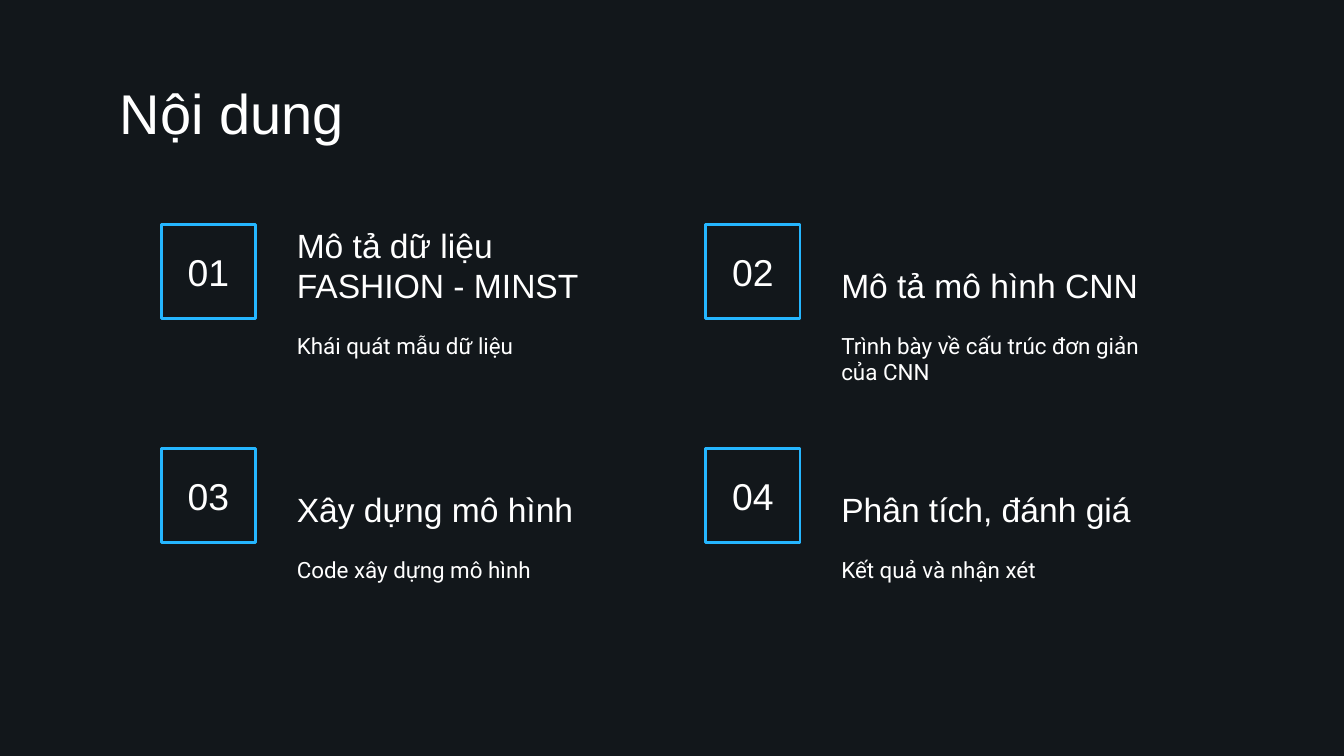
from dataclasses import dataclass

from pptx import Presentation, util as u
from pptx.dml.color import RGBColor
from pptx.enum import shapes, text

COLORS = {"background": "12171B", "frame": "25B6FF", "text": "FFFFFF"}
INSET = u.Cm(0.25)
FIRST_LEFT, FIRST_TOP = 3.05, 4.24
COLUMN_STEP, ROW_STEP = 10.29, 4.24
COLUMNS = 2
NUMBER_SIDE = 1.78
TEXT_OFFSET, TEXT_WIDTH = 2.31, 6.71
HEADING_HEIGHT, SUMMARY_HEIGHT = 2.16, 1.6


@dataclass
class Topic:
    heading: str
    summary: str


TOPICS = [
    Topic("Mô tả dữ liệu FASHION - MINST", "Khái quát mẫu dữ liệu"),
    Topic("Mô tả mô hình CNN", "Trình bày về cấu trúc đơn giản của CNN"),
    Topic("Xây dựng mô hình", "Code xây dựng mô hình"),
    Topic("Phân tích, đánh giá", "Kết quả và nhận xét"),
]


def color(role: str) -> RGBColor:
    return RGBColor.from_string(COLORS[role])


def write(holder, content: str, *, size: float, font: str = "Arial",
          anchor=text.MSO_ANCHOR.TOP, align=text.PP_ALIGN.LEFT) -> None:
    frame = holder.text_frame
    frame.word_wrap = True
    frame.auto_size = text.MSO_AUTO_SIZE.NONE
    frame.vertical_anchor = anchor
    frame.margin_left = frame.margin_right = INSET
    frame.margin_top = frame.margin_bottom = INSET
    paragraph = frame.paragraphs[0]
    paragraph.alignment = align
    run = paragraph.add_run()
    run.text = content
    run.font.size = u.Pt(size)
    run.font.name = font
    run.font.color.rgb = color("text")


def draw_topic(slide, index: int, topic: Topic) -> None:
    row, column = divmod(index, COLUMNS)
    left = FIRST_LEFT + column * COLUMN_STEP
    top = FIRST_TOP + row * ROW_STEP
    text_left = left + TEXT_OFFSET
    bottom = top + NUMBER_SIDE

    number = slide.shapes.add_shape(
        shapes.MSO_SHAPE.RECTANGLE, u.Cm(left), u.Cm(top),
        u.Cm(NUMBER_SIDE), u.Cm(NUMBER_SIDE))
    number.shadow.inherit = False
    number.fill.background()
    number.line.color.rgb = color("frame")
    number.line.width = u.Pt(1.5)
    write(number, f"{index + 1:02}", size=20,
          anchor=text.MSO_ANCHOR.MIDDLE, align=text.PP_ALIGN.CENTER)

    heading = slide.shapes.add_textbox(
        u.Cm(text_left), u.Cm(bottom - HEADING_HEIGHT),
        u.Cm(TEXT_WIDTH), u.Cm(HEADING_HEIGHT))
    write(heading, topic.heading, size=18, anchor=text.MSO_ANCHOR.BOTTOM)

    summary = slide.shapes.add_textbox(
        u.Cm(text_left), u.Cm(bottom), u.Cm(TEXT_WIDTH), u.Cm(SUMMARY_HEIGHT))
    write(summary, topic.summary, size=12, font="Roboto")


def main() -> None:
    deck = Presentation()
    deck.slide_width, deck.slide_height = u.Cm(25.4), u.Cm(14.29)
    slide = deck.slides.add_slide(deck.slide_layouts.get_by_name("Title Only"))
    slide.background.fill.solid()
    slide.background.fill.fore_color.rgb = color("background")

    title = slide.shapes.title
    title.left, title.top = u.Cm(2.01), u.Cm(1.24)
    title.width, title.height = u.Cm(21.41), u.Cm(1.6)
    write(title, "Nội dung", size=30)

    for index, topic in enumerate(TOPICS):
        draw_topic(slide, index, topic)
    deck.save("out.pptx")


if __name__ == "__main__":
    main()
